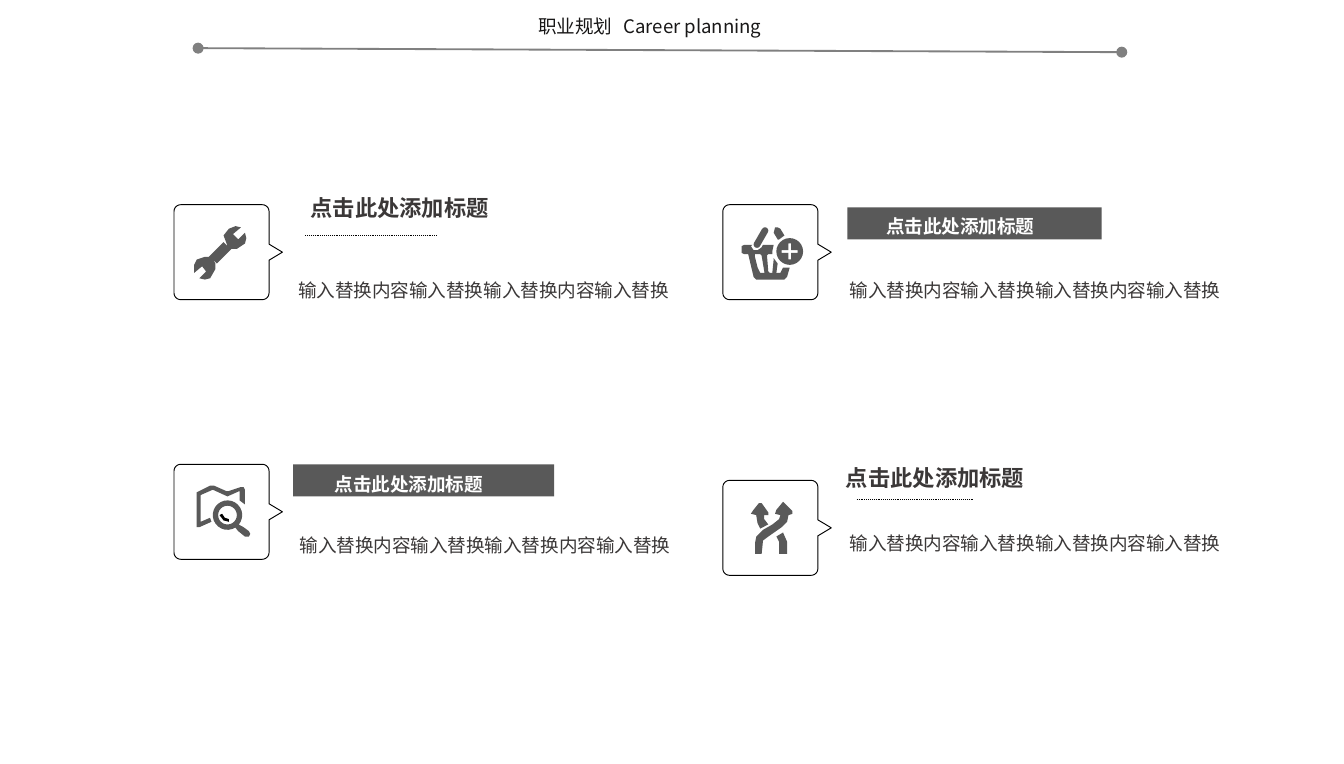
import math
import pptx
import pptx.dml.color
import pptx.enum.dml
import pptx.enum.shapes
import pptx.enum.text
import pptx.oxml.ns
import pptx.util
from lxml import etree

Inches = pptx.util.Inches
Pt = pptx.util.Pt
qn = pptx.oxml.ns.qn
Kind = pptx.enum.shapes.MSO_SHAPE

FONT = "Noto Sans CJK SC"
GRAY = "595959"
DARK = "3B3838"
INK = "181717"
HEAD = "点击此处添加标题"
BODY = "输入替换内容输入替换输入替换内容输入替换"


def color(code):
    return pptx.dml.color.RGBColor.from_string(code)


def arc(x, y, r, start, end, steps=24):
    turns = [math.radians(start + (end - start) * i / steps) for i in range(steps + 1)]
    return [(x + r * math.cos(t), y + r * math.sin(t)) for t in turns]


def cross(x, y, arm, half):
    corner = [(half, -arm), (half, -half), (arm, -half)]
    points = []
    for turn in range(4):
        points += [(x + a, y + b) for a, b in corner]
        corner = [(-b, a) for a, b in corner]
    return points


class Page:
    def __init__(self, deck):
        self.slide = deck.slides.add_slide(deck.slide_layouts[5])
        self.shapes = self.slide.shapes

    def paint(self, shape, fill=None, line=None):
        shape.shadow.inherit = False
        if fill:
            shape.fill.solid()
            shape.fill.fore_color.rgb = color(fill)
        else:
            shape.fill.background()
        if line:
            shape.line.color.rgb = color(line)
            shape.line.width = Pt(0.5)
        else:
            shape.line.fill.background()
        return shape

    def outline(self, *loops, fill=None, line=None):
        loops = [[(Inches(x), Inches(y)) for x, y in loop] for loop in loops]
        pen = self.shapes.build_freeform(*loops[0][0], scale=1.0)
        pen.add_line_segments(loops[0][1:], close=True)
        for loop in loops[1:]:
            pen.move_to(*loop[0])
            pen.add_line_segments(loop[1:], close=True)
        return self.paint(pen.convert_to_shape(), fill, line)

    def block(self, kind, x, y, w, h, fill=GRAY):
        shape = self.shapes.add_shape(kind, Inches(x), Inches(y), Inches(w), Inches(h))
        return self.paint(shape, fill)

    def frame(self, x, y):
        side, r, tip = 0.71, 0.05, 0.06
        mid, right = y + side / 2, x + side
        points = arc(x + r, y + r, r, 180, 270, 6)
        points += arc(right - r, y + r, r, 270, 360, 6)
        points += [(right, mid - tip), (right + 0.1, mid), (right, mid + tip)]
        points += arc(right - r, y + side - r, r, 0, 90, 6)
        points += arc(x + r, y + side - r, r, 90, 180, 6)
        self.outline(points, line="000000")

    def rule(self, x1, y1, x2, y2, tint="000000", width=0.5, dots=True):
        rule = self.shapes.add_connector(
            pptx.enum.shapes.MSO_CONNECTOR.STRAIGHT,
            Inches(x1), Inches(y1), Inches(x2), Inches(y2))
        rule.line.color.rgb = color(tint)
        rule.line.width = Pt(width)
        if dots:
            rule.line.dash_style = pptx.enum.dml.MSO_LINE.ROUND_DOT
        else:
            for end in ("a:headEnd", "a:tailEnd"):
                etree.SubElement(rule.line._ln, qn(end), type="oval")
        etree.SubElement(rule._element.spPr, qn("a:effectLst"))

    def text(self, words, x, y, w, h, size=10, tint=DARK, bold=False,
             inset=(0.1, 0.05), space=1.5, wrap=True, box=None):
        if box is None:
            box = self.shapes.add_textbox(0, 0, 0, 0)
        box.left, box.top, box.width, box.height = map(Inches, (x, y, w, h))
        frame = box.text_frame
        frame.text = words
        frame.word_wrap = wrap
        frame.auto_size = pptx.enum.text.MSO_AUTO_SIZE.SHAPE_TO_FIT_TEXT
        frame.vertical_anchor = pptx.enum.text.MSO_ANCHOR.TOP
        frame.margin_left = frame.margin_right = Inches(inset[0])
        frame.margin_top = frame.margin_bottom = Inches(inset[1])
        para = frame.paragraphs[0]
        para.alignment = pptx.enum.text.PP_ALIGN.LEFT
        para.line_spacing = space
        font = para.font
        font.size, font.bold, font.name = Pt(size), bold, FONT
        font.color.rgb = color(tint)
        etree.SubElement(para._p.pPr.find(qn("a:defRPr")), qn("a:ea"), typeface=FONT)


def wrench(page):
    page.outline([
        (1.76, 1.69), (1.71, 1.71), (1.67, 1.76), (1.7, 1.84), (1.67, 1.81),
        (1.56, 1.92), (1.53, 1.92), (1.47, 1.94), (1.45, 1.98), (1.45, 2.04),
        (1.51, 1.99), (1.54, 2.03), (1.49, 2.08), (1.53, 2.09), (1.57, 2.08),
        (1.61, 2.01), (1.61, 1.97), (1.59, 1.94), (1.62, 1.97), (1.73, 1.86),
        (1.77, 1.86), (1.83, 1.82), (1.84, 1.78), (1.83, 1.74), (1.78, 1.79),
        (1.74, 1.75), (1.8, 1.7)], fill=GRAY)


def basket(page):
    page.outline(
        [(5.64, 1.9), (5.64, 1.92), (5.66, 2), (5.68, 2.04), (5.71, 2.04),
         (5.71, 2.03), (5.69, 1.91), (5.68, 1.9)],
        [(5.56, 1.83), (5.62, 1.83), (5.61, 1.84), (5.63, 1.87), (5.66, 1.87),
         (5.69, 1.85), (5.7, 1.83), (5.78, 1.83), (5.77, 1.88), (5.77, 1.9),
         (5.74, 1.9), (5.73, 1.91), (5.74, 2.03), (5.75, 2.04), (5.77, 2.04),
         (5.78, 1.94), (5.78, 1.93), (5.81, 1.97), (5.8, 2.04), (5.83, 2.04),
         (5.85, 2), (5.9, 2), (5.88, 2.07), (5.86, 2.09), (5.65, 2.09),
         (5.63, 2.07), (5.59, 1.9), (5.56, 1.9), (5.54, 1.89), (5.54, 1.84)],
        fill=GRAY)
    grip = page.block(Kind.ROUNDED_RECTANGLE, 5.6, 1.75, 0.17, 0.05)
    grip.adjustments[0] = 0.5
    grip.rotation = 300
    page.outline([(5.81, 1.7), (5.83, 1.71), (5.86, 1.76), (5.82, 1.79),
                  (5.81, 1.79), (5.78, 1.74), (5.79, 1.7)], fill=GRAY)
    page.outline(arc(5.9, 1.88, 0.1, 0, 360), cross(5.9, 1.88, 0.06, 0.01), fill=GRAY)


def search(page):
    page.outline([
        (1.57, 3.63), (1.6, 3.63), (1.69, 3.67), (1.71, 3.67), (1.8, 3.64),
        (1.82, 3.64), (1.83, 3.66), (1.83, 3.77), (1.79, 3.74), (1.79, 3.67),
        (1.7, 3.71), (1.59, 3.66), (1.5, 3.7), (1.5, 3.9), (1.57, 3.87),
        (1.58, 3.9), (1.49, 3.94), (1.47, 3.94), (1.47, 3.68)], fill=GRAY)
    lens = arc(1.7, 3.85, 0.11, 58, 400)
    stem = [(1.82, 3.94), (1.86, 3.97), (1.87, 3.99), (1.86, 4.01),
            (1.83, 4.01), (1.78, 3.97)]
    page.outline(lens + stem, arc(1.7, 3.85, 0.07, 0, 360), fill=GRAY)
    page.outline([(1.64, 3.85), (1.66, 3.84), (1.68, 3.87), (1.71, 3.88),
                  (1.71, 3.9), (1.67, 3.89)], fill="000000")


def routes(page):
    page.outline([(5.67, 3.76), (5.69, 3.76), (5.74, 3.83), (5.74, 3.85),
                  (5.71, 3.85), (5.71, 3.88), (5.74, 3.92), (5.68, 3.95),
                  (5.66, 3.91), (5.65, 3.85), (5.61, 3.84), (5.63, 3.81)], fill=GRAY)
    page.outline([(5.85, 3.75), (5.87, 3.77), (5.92, 3.82), (5.92, 3.84),
                  (5.89, 3.85), (5.88, 3.9), (5.84, 3.94), (5.74, 4.01),
                  (5.7, 4.04), (5.69, 4.14), (5.64, 4.14), (5.64, 4.06),
                  (5.65, 4.01), (5.7, 3.96), (5.77, 3.92), (5.82, 3.88),
                  (5.83, 3.85), (5.79, 3.84), (5.8, 3.81)], fill=GRAY)
    page.outline([(5.8, 4.01), (5.85, 3.98), (5.88, 4.05), (5.88, 4.14),
                  (5.82, 4.14), (5.82, 4.05)], fill=GRAY)


def main():
    deck = pptx.Presentation()
    deck.slide_width, deck.slide_height = Inches(10.04), Inches(5.71)
    page = Page(deck)
    page.rule(1.48, 0.36, 8.38, 0.39, "808080", 1, dots=False)
    top = dict(tint=INK, space=1.0, wrap=False)
    page.text("职业规划", 3.92, 0.06, 0.76, 0.27, box=page.shapes.title, **top)
    page.text("Career planning", 4.56, 0.06, 1.27, 0.27, **top)

    for x, y in ((1.3, 1.53), (5.4, 1.53), (1.3, 3.47), (5.4, 3.59)):
        page.frame(x, y)
    for icon in (wrench, basket, search, routes):
        icon(page)

    for x, y, w in ((6.33, 1.55, 1.9), (2.19, 3.47, 1.95)):
        page.block(Kind.RECTANGLE, x, y, w, 0.24)
    for x1, x2, y in ((2.28, 3.27, 1.76), (6.4, 7.27, 3.73)):
        page.rule(x1, y, x2, y)

    for x, y, w in ((2.25, 1.31, 3.65), (6.25, 3.33, 1.63)):
        page.text(HEAD, x, y, w, 0.38, 12, bold=True, inset=(0.07, 0.04))
    for x, y in ((6.55, 1.48), (2.43, 3.41)):
        page.text(HEAD, x, y, 1.63, 0.33, tint="FFFFFF", bold=True, inset=(0.07, 0.04))
    for x, y in ((2.13, 1.95), (6.25, 1.95), (2.14, 3.86), (6.25, 3.84)):
        page.text(BODY, x, y, 2.97, 0.61)
    deck.save("out.pptx")


if __name__ == "__main__":
    main()
